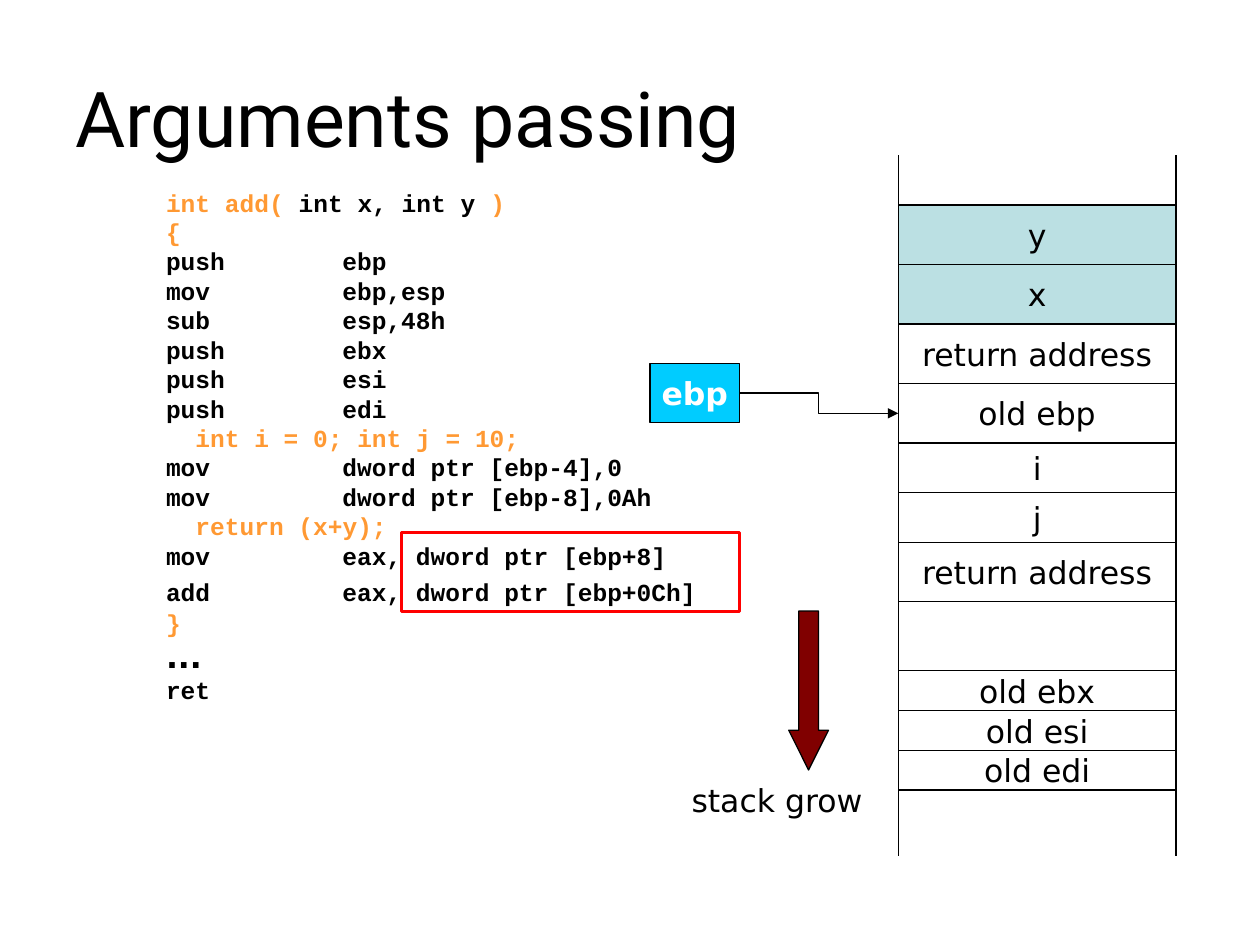
from lxml import etree
from pptx import Presentation
from pptx.dml.color import RGBColor
from pptx.enum.shapes import MSO_CONNECTOR, MSO_SHAPE
from pptx.enum.text import MSO_ANCHOR, PP_ALIGN
from pptx.oxml.ns import qn
from pptx.util import Pt

RECT, DOWN_ARROW = MSO_SHAPE.RECTANGLE, MSO_SHAPE.DOWN_ARROW
STRAIGHT, ELBOW = MSO_CONNECTOR.STRAIGHT, MSO_CONNECTOR.ELBOW
TOP, MIDDLE = MSO_ANCHOR.TOP, MSO_ANCHOR.MIDDLE
LEFT, CENTER = PP_ALIGN.LEFT, PP_ALIGN.CENTER
COLORS = {"black": "000000", "white": "FFFFFF", "source": "FF9933", "argument": "BBE0E3",
          "register": "00CCFF", "growth": "800000", "highlight": "FF0000"}
MONO, SANS = "Courier New", "DejaVu Sans"
CHAR_WIDTH = 8.4  # one 14 pt Courier New character

prs = Presentation()
prs.slide_width, prs.slide_height = Pt(720), Pt(540)
slide = prs.slides.add_slide(prs.slide_layouts[6])
shapes = slide.shapes


def write(shape, lines, size=18, font=SANS, color="black", bold=False,
          align=LEFT, anchor=TOP, wrap=True, before=0):
    """Each line is a string or a list of (text, overrides) runs."""
    frame = shape.text_frame
    frame.word_wrap, frame.vertical_anchor = wrap, anchor
    for i, line in enumerate(lines):
        paragraph = frame.paragraphs[0] if i == 0 else frame.add_paragraph()
        paragraph.alignment, paragraph.space_before = align, Pt(before)
        for text, changes in [(line, {})] if isinstance(line, str) else line:
            look = {"size": size, "font": font, "color": color, **changes}
            run = paragraph.add_run()
            run.text = text
            run.font.size, run.font.name, run.font.bold = Pt(look["size"]), look["font"], bold
            run.font.color.rgb = RGBColor.from_string(COLORS[look["color"]])


def add_box(kind, left, top, width, height, fill=None, line="black", weight=0.75):
    box = shapes.add_shape(kind, Pt(left), Pt(top), Pt(width), Pt(height))
    box.shadow.inherit = False
    if fill:
        box.fill.solid()
        box.fill.fore_color.rgb = RGBColor.from_string(COLORS[fill])
    else:
        box.fill.background()
    box.line.color.rgb = RGBColor.from_string(COLORS[line])
    box.line.width = Pt(weight)
    return box


# Title
title = shapes.add_textbox(Pt(36), Pt(21.6), Pt(648), Pt(90))
write(title, ["Arguments passing"], size=44, font="Roboto", anchor=MIDDLE)

# Stack cells from high to low addresses; a cell without a label is a gap
stack_left, stack_width = 513.3, 158.7
cells = [("y", 34, "argument"), ("x", 34, "argument"), ("return address", 34, None),
         ("old ebp", 34, None), ("i", 28.35, None), ("j", 28.35, None),
         ("return address", 34, None), (None, 39.4, None),
         ("old ebx", 22.7, None), ("old esi", 22.7, None), ("old edi", 22.7, None)]
cell_top = 117.2
for label, height, fill in cells:
    if label:
        cell = add_box(RECT, stack_left, cell_top, stack_width, height, fill)
        write(cell, [label], align=CENTER, anchor=MIDDLE, wrap=False)
        if label == "old ebp":
            old_ebp = cell
    cell_top += height

# Register that points to the saved frame
ebp = add_box(RECT, 371.5, 207.6, 51.1, 34, "register")
write(ebp, ["ebp"], color="white", bold=True, align=CENTER, anchor=MIDDLE, wrap=False)
pointer = shapes.add_connector(ELBOW, 0, 0, 0, 0)
pointer.begin_connect(ebp, 3)
pointer.end_connect(old_ebp, 1)

# Stack sides
sides = [shapes.add_connector(STRAIGHT, Pt(x), Pt(88.6), Pt(x), Pt(488.9))
         for x in (stack_left, stack_left + stack_width)]
for connector in [pointer, *sides]:
    connector.line.color.rgb = RGBColor.from_string(COLORS["black"])
    connector.line.width = Pt(0.75)
    etree.SubElement(connector._element.spPr, qn("a:effectLst"))
etree.SubElement(pointer.line._get_or_add_ln(), qn("a:tailEnd"), type="triangle")

# Growth direction
growth = add_box(DOWN_ARROW, 450.7, 349.2, 22.7, 90.8, "growth")
growth.adjustments[0], growth.adjustments[1] = 0.5, 1
growth_label = shapes.add_textbox(Pt(388.1), Pt(442.8), Pt(124.6), Pt(28.8))
write(growth_label, ["stack grow"], before=11.2)

# Code listing: operands stand at a tab stop, source lines are indented
source = {"color": "source"}
code_lines = [
    [("int add( ", source), ("int x, int y ", {}), (")", source)],
    [("{", source)],
    "push\tebp",
    "mov\tebp,esp",
    "sub\tesp,48h",
    "push\tebx",
    "push\tesi",
    "push\tedi",
    [("int i = 0; int j = 10;", source)],
    "mov\tdword ptr [ebp-4],0",
    "mov\tdword ptr [ebp-8],0Ah",
    [("return (x+y);", source)],
    "mov\teax, dword ptr [ebp+8]",
    [("add\teax, dword ptr [ebp+0Ch]", {}), (" ", {"size": 18, "font": SANS})],
    [("}", source)],
    [("...", {"size": 18, "font": SANS})],
    "ret",
]
code = shapes.add_textbox(Pt(87.8), Pt(103.7), Pt(351.4), Pt(302.4))
write(code, code_lines, size=14, font=MONO, bold=True)
for paragraph in code.text_frame.paragraphs:
    properties = paragraph._p.get_or_add_pPr()
    if "\t" in paragraph.text:
        tabs = etree.SubElement(properties, qn("a:tabLst"))
        etree.SubElement(tabs, qn("a:tab"), pos=str(Pt(12 * CHAR_WIDTH)), algn="l")
    elif paragraph.text.startswith(("int i", "return")):
        properties.set("marL", str(Pt(2 * CHAR_WIDTH)))
        properties.set("indent", "0")

# Highlight on the argument accesses
add_box(RECT, 229.4, 304.3, 193.3, 45, line="highlight", weight=1.75)

prs.save("out.pptx")
